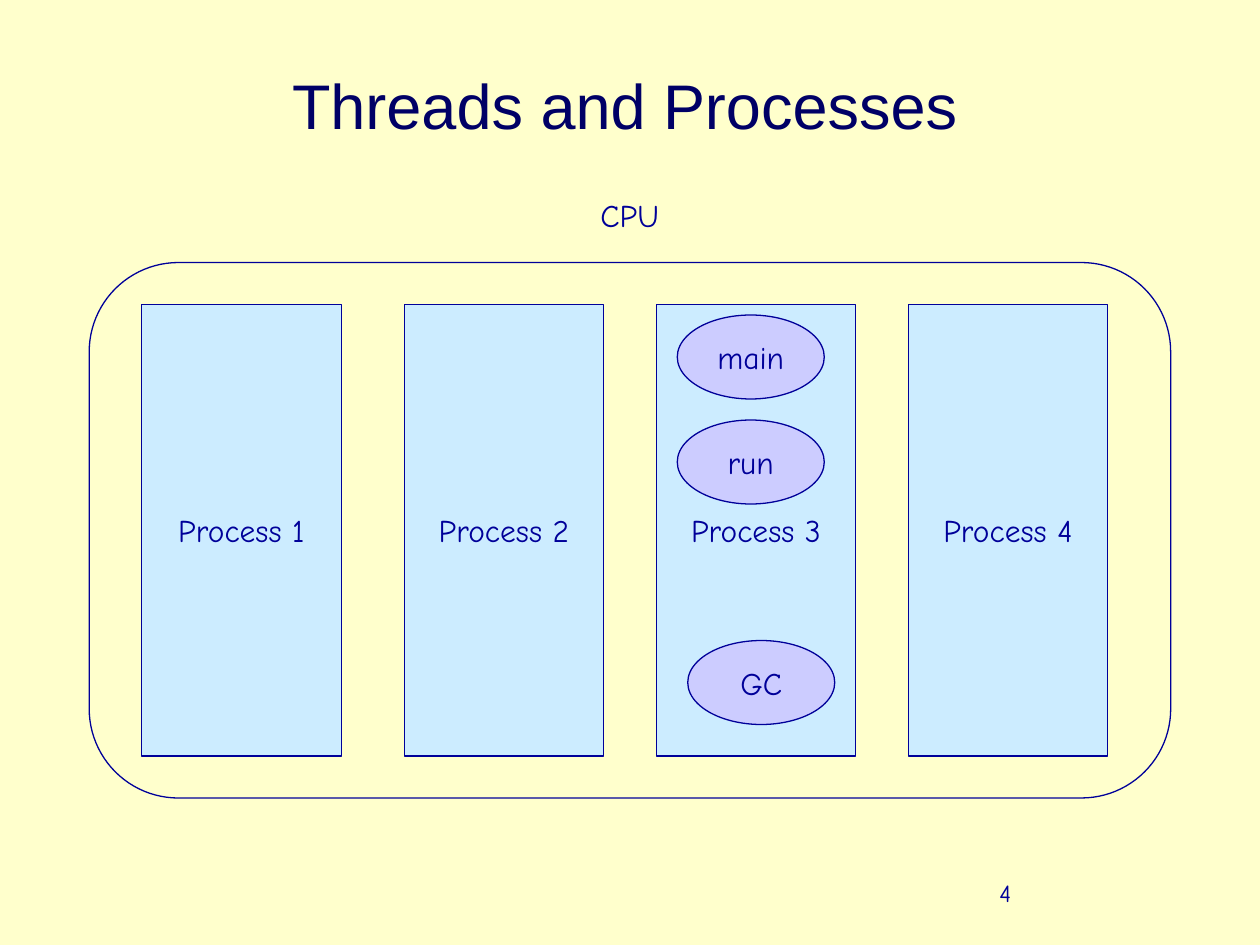
import pptx
import pptx.util
import pptx.dml.color
import pptx.enum.shapes
import pptx.enum.text

SHAPE = pptx.enum.shapes.MSO_SHAPE
ALIGN = pptx.enum.text.PP_ALIGN
ANCHOR = pptx.enum.text.MSO_ANCHOR
FIT = pptx.enum.text.MSO_AUTO_SIZE

deck = pptx.Presentation()
deck.slide_width, deck.slide_height = pptx.util.Inches(10), pptx.util.Inches(7.5)
COLUMN = deck.slide_width / 120  # square grid, 120 columns by 90 rows
NAVY, INK, CREAM, SKY, LILAC = "000066", "000099", "FFFFCC", "CCECFF", "CCCCFF"


def paint(target, colour):
    """Make a fill or line solid, or set a font's colour."""
    if hasattr(target, "solid"):
        target.solid()
        target = target.fore_color
    else:
        target = target.color
    target.rgb = pptx.dml.color.RGBColor.from_string(colour)


def write(holder, text, size=18, face="Comic Neue", colour=INK,
          align=ALIGN.CENTER, anchor=ANCHOR.MIDDLE, wrap=False, fit=FIT.NONE):
    frame = holder.text_frame
    frame.text = text
    frame_format = {"word_wrap": wrap, "vertical_anchor": anchor, "auto_size": fit}
    for name, value in frame_format.items():
        setattr(frame, name, value)
    line = frame.paragraphs[0]
    line.alignment = align
    font = line.runs[0].font
    for name, value in {"size": pptx.util.Pt(size), "name": face}.items():
        setattr(font, name, value)
    paint(font, colour)


slide = deck.slides.add_slide(deck.slide_layouts[5])
paint(slide.background.fill, CREAM)

# Title
heading = slide.shapes.title
for name, cells in {"left": 12, "top": 5, "width": 95, "height": 11}.items():
    setattr(heading, name, round(cells * COLUMN))
write(heading, "Threads and Processes", 36, "Arial", NAVY, wrap=True)
heading.text_frame.paragraphs[0].line_spacing = 0.85

# CPU frame, its processes, and the threads of process 3: grid cells
parts = [("", SHAPE.ROUNDED_RECTANGLE, CREAM, 8.5, 25, 103, 51)]
for number, left in enumerate((13.5, 38.5, 62.5, 86.5), start=1):
    parts.append((f"Process {number}", SHAPE.RECTANGLE, SKY, left, 29, 19, 43))
for thread, left, top in (("main", 64.5, 30), ("run", 64.5, 40), ("GC", 65.5, 61)):
    parts.append((thread, SHAPE.OVAL, LILAC, left, top, 14, 8))

for label, outline, colour, *cells in parts:
    part = slide.shapes.add_shape(outline, *(round(c * COLUMN) for c in cells))
    part.shadow.inherit = False
    paint(part.fill, colour)
    paint(part.line.fill, INK)
    part.line.width = pptx.util.Pt(0.75)
    if label:
        write(part, label)

# CPU label, which grows with its text, and page number
for text, size, wrap, fit, *cells in (
        ("CPU", 18, False, FIT.SHAPE_TO_FIT_TEXT, 56, 18.1, 8.1, 4.8),
        ("4", 14, True, FIT.NONE, 94, 83, 25, 6)):
    caption = slide.shapes.add_textbox(*(round(c * COLUMN) for c in cells))
    write(caption, text, size, align=ALIGN.LEFT, anchor=ANCHOR.TOP, wrap=wrap, fit=fit)

deck.save("out.pptx")
